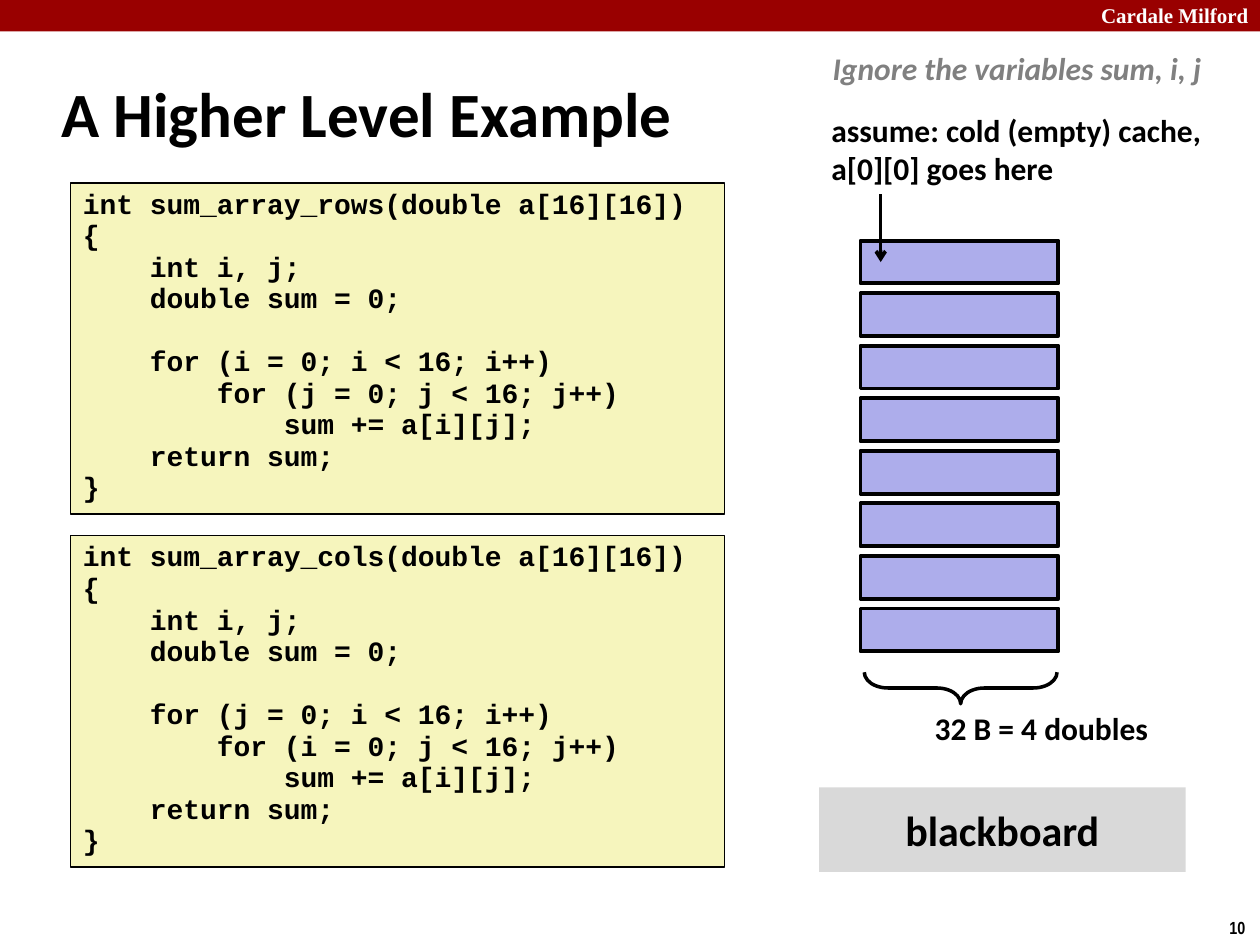
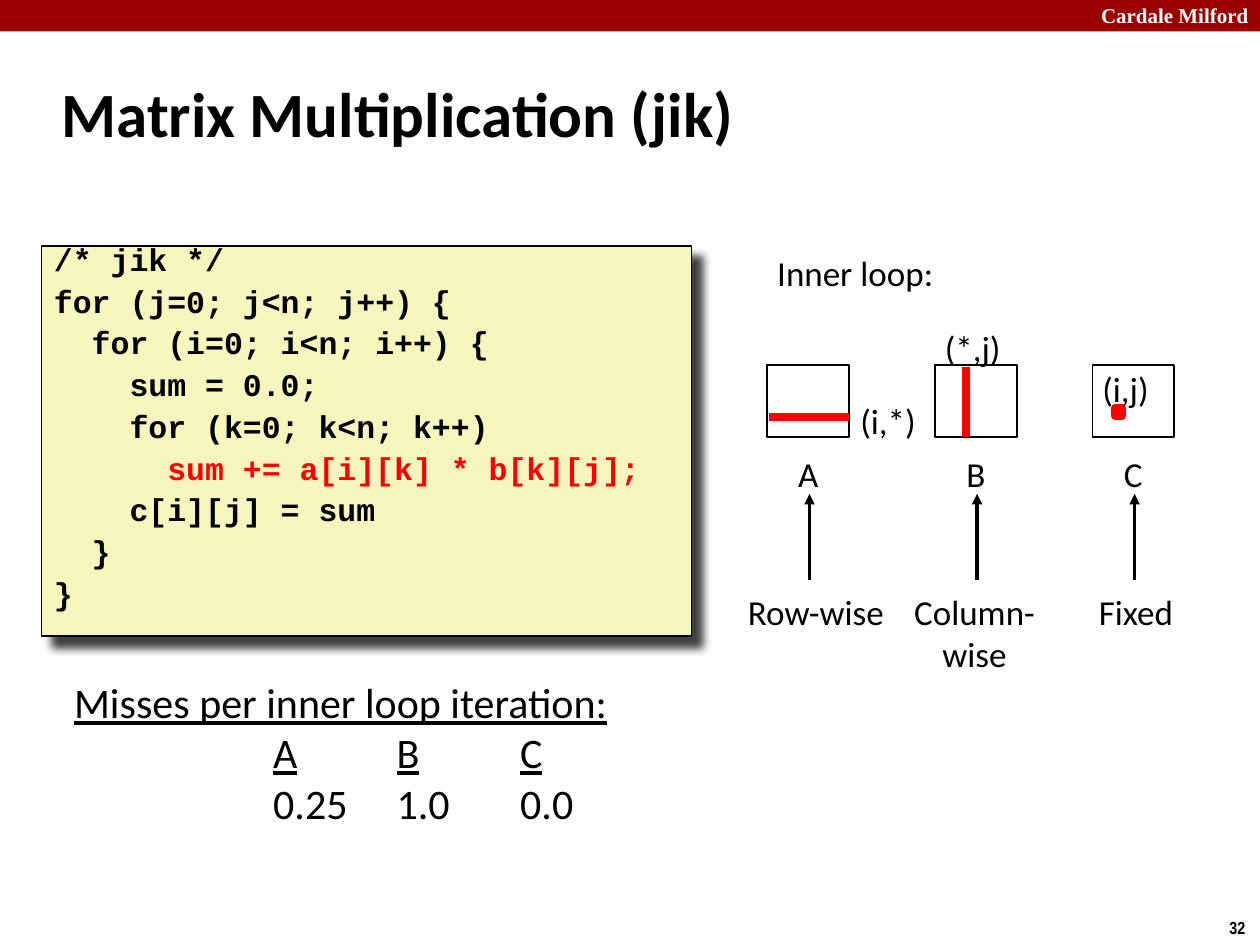
import dataclasses

import lxml.etree
import pptx
import pptx.dml.color
import pptx.enum.shapes
import pptx.enum.text
import pptx.oxml.ns
import pptx.util

Inches = pptx.util.Inches
Pt = pptx.util.Pt
qn = pptx.oxml.ns.qn
SHAPES = pptx.enum.shapes.MSO_SHAPE
ALIGN = pptx.enum.text.PP_ALIGN
ANCHOR = pptx.enum.text.MSO_ANCHOR
AUTO_SIZE = pptx.enum.text.MSO_AUTO_SIZE


@dataclasses.dataclass(frozen=True)
class Style:
    size: float
    font: str = "Calibri"
    color: str = "000000"
    bold: bool = False
    italic: bool = False
    underline: bool = False


class Theme:
    black, white, red = "000000", "FFFFFF", "FF0000"
    band, code_fill, cache_fill, panel = "990000", "F6F5BD", "ADADEB", "D9D9D9"
    brand = Style(12, "Times New Roman", white, bold=True)
    page_number = Style(10, "Arial Narrow", bold=True)
    title = Style(36, bold=True)
    note = Style(18, bold=True)
    aside = Style(18, color="808080", bold=True, italic=True)
    panel_text = Style(24, bold=True)
    label = Style(20)
    body = Style(24)
    heading = Style(24, underline=True)
    code_small = Style(16, "Courier New", bold=True)
    code_large = Style(18, "Courier New", bold=True)
    code_hot = Style(18, "Courier New", red, bold=True)


def rgb(value):
    return pptx.dml.color.RGBColor.from_string(value)


def inches(box):
    return [Inches(length) for length in box]


def format_span(span, style):
    font = span.font
    font.size, font.name = Pt(style.size), style.font
    font.bold, font.italic, font.underline = style.bold, style.italic, style.underline
    font.color.rgb = rgb(style.color)


def write_lines(frame, lines, style, align=ALIGN.LEFT):
    """Each line is a string, or a list of (text, style) spans."""
    for index, line in enumerate(lines):
        para = frame.paragraphs[0] if index == 0 else frame.add_paragraph()
        para.alignment = align
        for text, span_style in [(line, style)] if isinstance(line, str) else line:
            span = para.add_run()
            span.text = text
            format_span(span, span_style)


def add_text(page, box, lines, style, align=ALIGN.LEFT, wrap=False, anchor=ANCHOR.TOP):
    frame = page.shapes.add_textbox(*inches(box)).text_frame
    frame.word_wrap = wrap
    frame.auto_size = AUTO_SIZE.NONE if wrap else AUTO_SIZE.SHAPE_TO_FIT_TEXT
    frame.vertical_anchor = anchor
    write_lines(frame, lines, style, align)
    return frame


def add_shape(page, box, fill=None, line=None, width=1, kind=SHAPES.RECTANGLE):
    shape = page.shapes.add_shape(kind, *inches(box))
    shape.shadow.inherit = False
    if fill:
        shape.fill.solid()
        shape.fill.fore_color.rgb = rgb(fill)
    else:
        shape.fill.background()
    if line:
        shape.line.color.rgb = rgb(line)
        shape.line.width = Pt(width)
    else:
        shape.line.fill.background()
    return shape


def add_line(page, start, end, color=Theme.black, width=2, head=None):
    line = page.shapes.add_connector(
        pptx.enum.shapes.MSO_CONNECTOR.STRAIGHT, *inches(start + end))
    line.line.color.rgb = rgb(color)
    line.line.width = Pt(width)
    if head:
        lxml.etree.SubElement(line.line._get_or_add_ln(), qn("a:tailEnd"), type=head)
    lxml.etree.SubElement(line._element.spPr, qn("a:effectLst"))


def cast_shadow(shape):
    effects = shape._element.spPr.find(qn("a:effectLst"))
    shadow = lxml.etree.SubElement(
        effects, qn("a:outerShdw"), blurRad=str(Pt(5)), dist=str(Pt(8.5)),
        dir=str(45 * 60000), algn="ctr", rotWithShape="0")
    color = lxml.etree.SubElement(shadow, qn("a:srgbClr"), val=Theme.black)
    lxml.etree.SubElement(color, qn("a:alpha"), val="75000")


def add_code(page, box, lines, style, line_spacing, space_before=0):
    shape = add_shape(page, box, Theme.code_fill, Theme.black)
    frame = shape.text_frame
    frame.word_wrap = True
    frame.vertical_anchor = ANCHOR.TOP
    write_lines(frame, lines, style)
    for para in frame.paragraphs:
        para.line_spacing = line_spacing
        para.space_before = Pt(space_before)
    return shape


def add_page(deck, title, number):
    """Blank page with the band, title and page number all slides share."""
    page = deck.slides.add_slide(deck.slide_layouts[6])
    add_shape(page, (0, 0, 10, 0.25), Theme.band)
    add_text(page, (8.64, -0.03, 1.43, 0.3), ["Cardale Milford"], Theme.brand, wrap=True)
    add_text(page, (9.66, 7.23, 0.34, 0.27), [str(number)], Theme.page_number)
    add_text(page, (0.39, 0.48, 8.3, 0.83), [title], Theme.title,
             wrap=True, anchor=ANCHOR.MIDDLE)
    return page


def add_sum_function(page, box, name, outer, inner):
    """Array-summing function; the loops differ in their start variable."""
    lines = [
        f"int {name}(double a[16][16])",
        "{",
        "    int i, j;",
        "    double sum = 0;",
        f"    for ({outer} = 0; i < 16; i++)",
        f"        for ({inner} = 0; j < 16; j++)",
        "            sum += a[i][j];",
        "    return sum;",
        "}",
    ]
    shape = add_code(page, box, lines, Theme.code_small, 0.94)
    # One line of space between the declarations and the loops
    shape.text_frame.paragraphs[4].space_before = Pt(18)


def add_cache(page, box, rows=8, row_height=0.34):
    """Stack of cache lines, with the entry arrow above and a brace below."""
    left, top, width, height = box
    pitch = (height - row_height) / (rows - 1)
    for row in range(rows):
        add_shape(page, (left, top + row * pitch, width, row_height),
                  Theme.cache_fill, Theme.black, 2.25)
    add_line(page, (left + 0.16, top - 0.37), (left + 0.16, top + 0.17), head="arrow")

    span, depth = 1.53, 0.25
    center_x, center_y = left + width / 2 + 0.01, top + height + 0.29
    brace = add_shape(
        page, (center_x - depth / 2, center_y - span / 2, depth, span),
        line=Theme.black, width=2, kind=SHAPES.LEFT_BRACE)
    brace.rotation = 270
    brace.adjustments[0] = 0.75
    add_text(page, (left + 0.49, top + height + 0.41, 1.91, 0.4),
             ["32 B = 4 doubles"], Theme.note)


def add_matrix(page, box, name, caption, caption_box):
    """Matrix outline, its name, and an arrow up from the access pattern."""
    left, top, width, height = box
    center = left + width / 2
    add_shape(page, box, Theme.white, Theme.black)
    add_text(page, (center - 0.18, top + 0.64, 0.36, 0.43), [name], Theme.label, ALIGN.CENTER)
    add_line(page, (center + 0.01, top + 1.7), (center + 0.01, top + 1.02), head="triangle")
    add_text(page, caption_box, caption, Theme.label, ALIGN.CENTER)


def add_inner_loop(page, box):
    """Three matrices with the part that the inner loop touches in red."""
    left, top = box[:2]
    add_text(page, (left, top, 1.45, 0.43), ["Inner loop:"], Theme.label)
    cell_top, width, height = top + 0.95, 0.65, 0.57
    matrices = [
        (6.09, "A", ["Row-wise"], 5.83, 1.29),
        (7.42, "B", ["Column-", "wise"], 7.15, 1.17),
        (8.67, "C", ["Fixed"], 8.62, 0.79),
    ]
    for cell_left, name, caption, caption_left, caption_width in matrices:
        caption_box = (caption_left, cell_top + 1.74, caption_width,
                       0.09 + 0.34 * len(caption))
        add_matrix(page, (cell_left, cell_top, width, height), name, caption, caption_box)

    # Touched row, column and element
    row_left, column_left, element_left = (matrix[0] for matrix in matrices)
    row_y, column_x = cell_top + 0.41, column_left + 0.25
    add_line(page, (row_left + 0.01, row_y), (row_left + width, row_y), Theme.red, 4.5)
    add_line(page, (column_x, cell_top + 0.01), (column_x, cell_top + height), Theme.red, 4.5)
    add_shape(page, (element_left + 0.18, cell_top + 0.34, 0.06, 0.06),
              Theme.red, Theme.red, 4.5)
    add_text(page, (row_left + 0.64, cell_top + 0.22, 0.64, 0.43), ["(i,*)"], Theme.label)
    add_text(page, (column_left - 0.02, cell_top - 0.36, 0.65, 0.43), ["(*,j)"], Theme.label)
    add_text(page, (element_left - 0.02, cell_top - 0.03, 0.57, 0.43), ["(i,j)"], Theme.label)


def add_misses(page, box, misses):
    """Misses for each matrix, in columns set by tab stops."""
    names = [span for name in misses
             for span in (("\t", Theme.body), (name, Theme.heading))]
    values = "".join("\t" + value for value in misses.values())
    frame = add_text(page, box, [[("Misses per inner loop iteration:", Theme.heading)],
                                 names, values], Theme.body, wrap=True)
    for para in frame.paragraphs[1:]:
        properties = para._p.get_or_add_pPr()
        stops = lxml.etree.SubElement(properties, qn("a:tabLst"))
        for column in range(len(misses)):
            position = Inches(1.58 + column * 0.98)
            lxml.etree.SubElement(stops, qn("a:tab"), pos=str(position), algn="l")


def build_example(deck):
    page = add_page(deck, "A Higher Level Example", 10)
    add_sum_function(page, (0.56, 1.45, 5.19, 2.63), "sum_array_rows", "i", "j")
    add_sum_function(page, (0.56, 4.25, 5.19, 2.63), "sum_array_cols", "j", "i")
    add_text(page, (6.51, 0.34, 3.16, 0.4), ["Ignore the variables sum, i, j"], Theme.aside)
    add_text(page, (6.5, 0.83, 3.16, 0.71),
             ["assume: cold (empty) cache,", "a[0][0] goes here"], Theme.note)
    add_cache(page, (6.83, 1.91, 1.57, 3.26))
    panel = add_shape(page, (6.5, 6.25, 2.91, 0.67), Theme.panel)
    panel.text_frame.vertical_anchor = ANCHOR.MIDDLE
    write_lines(panel.text_frame, ["blackboard"], Theme.panel_text, ALIGN.CENTER)


def build_multiplication(deck):
    page = add_page(deck, "Matrix Multiplication (jik)", 32)
    lines = [
        "/* jik */",
        "for (j=0; j<n; j++) {",
        "  for (i=0; i<n; i++) {",
        "    sum = 0.0;",
        "    for (k=0; k<n; k++)",
        [("      ", Theme.code_large), ("sum += a[i][k] * b[k][j];", Theme.code_hot)],
        "    c[i][j] = sum",
        "  }",
        "}",
    ]
    cast_shadow(add_code(page, (0.33, 1.95, 5.16, 3.1), lines, Theme.code_large, 0.65, 9.8))
    add_inner_loop(page, (6.07, 1.95, 3.34, 3.46))
    add_misses(page, (0.49, 5.32, 5.96, 1.34), {"A": "0.25", "B": "1.0", "C": "0.0"})


deck = pptx.Presentation()
deck.slide_width, deck.slide_height = Inches(10), Inches(7.5)
build_example(deck)
build_multiplication(deck)
deck.save("out.pptx")
